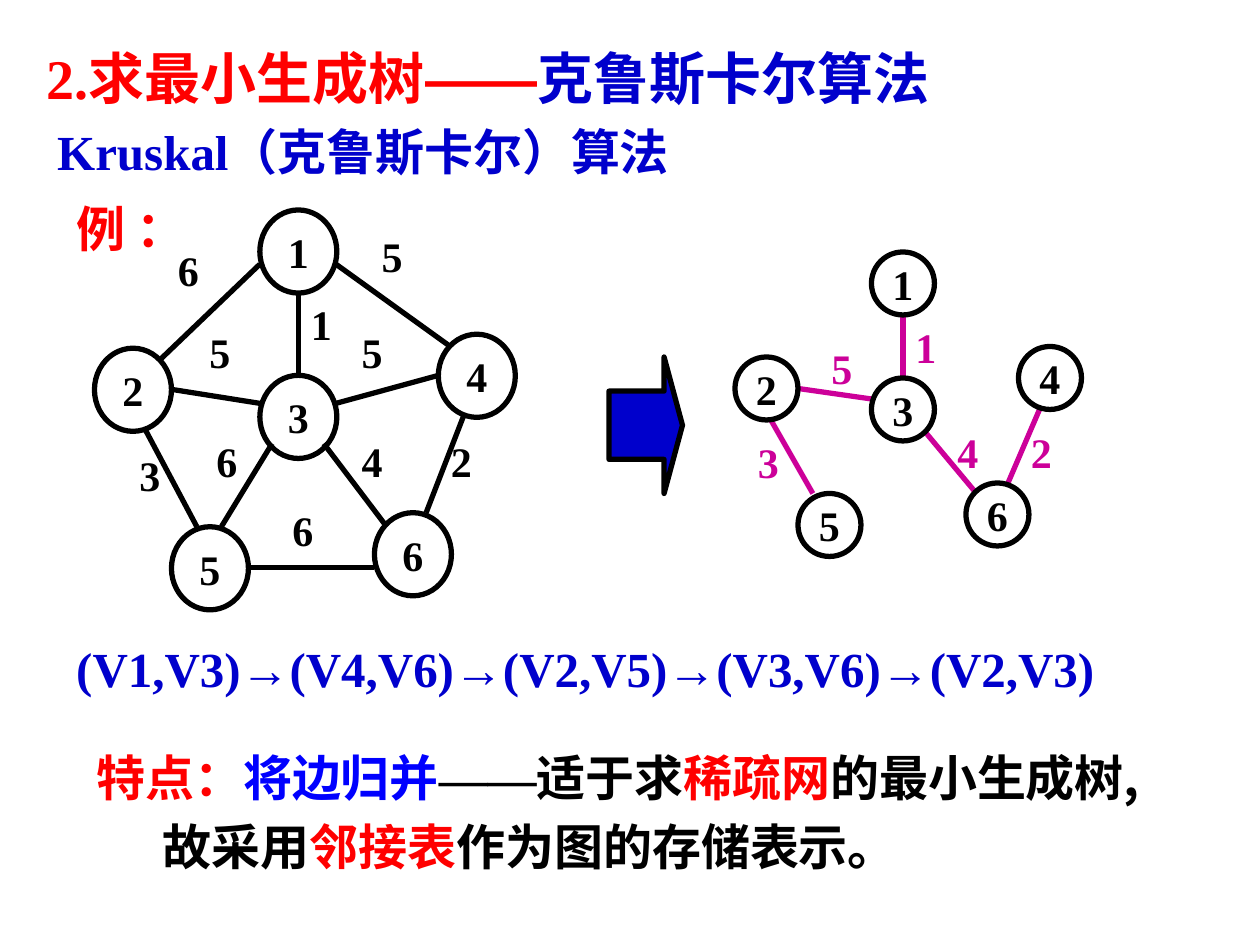
from dataclasses import dataclass

from pptx import Presentation
from pptx.dml.color import RGBColor
from pptx.enum import shapes, text
from pptx.oxml import ns
from pptx.util import Pt
from lxml import etree


@dataclass(frozen=True)
class Theme:
    black: str = "000000"
    red: str = "FF0000"
    navy: str = "0000CC"
    blue: str = "0000FF"
    magenta: str = "CC0099"
    serif: str = "Times New Roman"
    sans: str = "Arial"
    chinese: str = "Noto Sans CJK SC"
    heading: int = 32
    body: int = 28
    graph: int = 24
    stroke: int = 3


THEME = Theme()

# Node: number -> left, top. Edge: start x, y, end x, y, weight, label left, top.
GRAPH_NODES = {1: (94.5, 0), 2: (0, 79), 3: (94.5, 94.5),
               4: (196.5, 71), 5: (44, 181), 6: (160, 173)}
GRAPH_EDGES = [
    (94.5, 31, 36.5, 86.5, 6, 40.5, 16),
    (29, 125.5, 58.5, 181, 3, 18.5, 133.5),
    (87, 204.5, 160, 204.5, 6, 106, 165),
    (211, 117.5, 189.5, 173, 2, 196.5, 125.5),
    (138, 31, 204, 78.5, 5, 157, 8),
    (116.5, 47, 116.5, 94.5, 1, 116.5, 47),
    (101.5, 133.5, 72.5, 181, 6, 62.5, 125.5),
    (131, 133.5, 167, 181, 4, 145.5, 125.5),
    (138, 110.5, 196.5, 94.5, 5, 145.5, 63),
    (44, 102.5, 94.5, 110.5, 5, 58.5, 63),
]
TREE_NODES = {1: (78, 0), 2: (0, 60), 3: (78, 72),
              4: (162, 54), 5: (36, 138), 6: (132, 132)}
TREE_EDGES = [
    (96, 36, 96, 72, 1, 96, 36),
    (36, 78, 78, 84, 5, 48, 48),
    (108, 102, 138, 138, 4, 120, 96),
    (20.5, 96, 44.5, 138, 3, 6, 102),
    (174, 90, 156, 132, 2, 162, 96),
]


def write_runs(paragraph, runs, size):
    """Add bold runs given as (wording, colour, Latin font, East Asian font)."""
    for wording, colour, latin, east_asian in runs:
        run = paragraph.add_run()
        run.text = wording
        run.font.size = Pt(size)
        run.font.bold = True
        run.font.color.rgb = RGBColor.from_string(colour)
        run.font.name = latin
        properties = run.font._element
        etree.SubElement(properties, ns.qn("a:ea")).set("typeface", east_asian)


def latin(wording, colour, font=THEME.serif):
    return wording, colour, font, font


def chinese(wording, colour):
    return wording, colour, THEME.chinese, THEME.chinese


def place(shape, box):
    shape.left, shape.top, shape.width, shape.height = (Pt(length) for length in box)


def format_line(shape, box, runs, size, anchor=text.MSO_ANCHOR.MIDDLE, wrap=True):
    """Fill a text shape with one left-aligned line."""
    place(shape, box)
    frame = shape.text_frame
    frame.auto_size = text.MSO_AUTO_SIZE.NONE
    frame.word_wrap = wrap
    frame.vertical_anchor = anchor
    frame.paragraphs[0].alignment = text.PP_ALIGN.LEFT
    write_runs(frame.paragraphs[0], runs, size)


def add_line_of_text(slide, box, runs, size, **options):
    shape = slide.shapes.add_textbox(0, 0, 0, 0)
    format_line(shape, box, runs, size, **options)


def add_node(slide, box, number):
    node = slide.shapes.add_shape(shapes.MSO_SHAPE.OVAL, *(Pt(length) for length in box))
    node.shadow.inherit = False
    node.fill.background()
    node.line.color.rgb = RGBColor.from_string(THEME.black)
    node.line.width = Pt(THEME.stroke)
    frame = node.text_frame
    frame.word_wrap = False
    frame.vertical_anchor = text.MSO_ANCHOR.MIDDLE
    frame.paragraphs[0].alignment = text.PP_ALIGN.CENTER
    write_runs(frame.paragraphs[0], [latin(str(number), THEME.black)], THEME.graph)


def add_edge(slide, start_x, start_y, end_x, end_y, colour):
    edge = slide.shapes.add_connector(
        shapes.MSO_CONNECTOR.STRAIGHT, Pt(start_x), Pt(start_y), Pt(end_x), Pt(end_y))
    edge.line.color.rgb = RGBColor.from_string(colour)
    edge.line.width = Pt(THEME.stroke)
    etree.SubElement(edge._element.spPr, ns.qn("a:effectLst"))


def add_graph(slide, left, top, node_size, nodes, edges, colour):
    """Draw a weighted graph whose top left corner is at left, top."""
    for x1, y1, x2, y2, weight, label_x, label_y in edges:
        add_edge(slide, left + x1, top + y1, left + x2, top + y2, colour)
        add_line_of_text(slide, (left + label_x, top + label_y, 27, 36),
                         [latin(str(weight), colour)], THEME.graph,
                         anchor=text.MSO_ANCHOR.TOP, wrap=False)
    for number, (x, y) in nodes.items():
        add_node(slide, (left + x, top + y, *node_size), number)


def add_result_arrow(slide, box):
    arrow = slide.shapes.add_shape(
        shapes.MSO_SHAPE.RIGHT_ARROW, *(Pt(length) for length in box))
    arrow.adjustments[0] = 0.5
    arrow.adjustments[1] = 0.25
    arrow.shadow.inherit = False
    arrow.fill.solid()
    arrow.fill.fore_color.rgb = RGBColor.from_string(THEME.navy)
    arrow.line.color.rgb = RGBColor.from_string(THEME.black)
    arrow.line.width = Pt(THEME.stroke)


def add_headings(slide, left, top):
    add_line_of_text(slide, (left, top, 527, 48), [
        latin("2.", THEME.red),
        chinese("求最小生成树", THEME.red),
        latin("——", THEME.red, THEME.sans),
        ("克鲁斯卡尔算法", THEME.navy, THEME.sans, THEME.chinese),
    ], THEME.heading)
    format_line(slide.shapes.title, (left + 6, top + 51, 380, 30), [
        latin("Kruskal", THEME.navy),
        chinese("（克鲁斯卡尔）算法", THEME.navy),
    ], THEME.body)
    add_line_of_text(slide, (left + 17, top + 86, 69, 48), [
        ("例 ：", THEME.red, THEME.serif, THEME.chinese)], THEME.body)


def add_features(slide, box):
    shape = slide.shapes.add_textbox(0, 0, 0, 0)
    place(shape, box)
    frame = shape.text_frame
    frame.word_wrap = True
    lines = [
        [chinese("特点：", THEME.red), chinese("将边归并", THEME.blue),
         latin("——", THEME.black), chinese("适于求", THEME.black),
         chinese("稀疏网", THEME.red), chinese("的最小生成树,", THEME.black)],
        [chinese("故采用", THEME.black), chinese("邻接表", THEME.red),
         chinese("作为图的存储表示。", THEME.black)],
    ]
    for runs, indent in zip(lines, (0, 38)):
        paragraph = frame.paragraphs[0] if indent == 0 else frame.add_paragraph()
        paragraph.space_before = Pt(6)
        paragraph._p.get_or_add_pPr().set("marL", str(Pt(indent)))
        write_runs(paragraph, runs, THEME.body)


def main():
    presentation = Presentation()
    presentation.slide_width, presentation.slide_height = Pt(720), Pt(540)
    slide = presentation.slides.add_slide(presentation.slide_layouts[5])
    add_headings(slide, 19.5, 20)
    add_graph(slide, 54, 120, (44, 47.5), GRAPH_NODES, GRAPH_EDGES, THEME.black)
    add_result_arrow(slide, (348, 204, 42, 78))
    add_graph(slide, 420, 144, (36, 36), TREE_NODES, TREE_EDGES, THEME.magenta)
    edge_order = [(1, 3), (4, 6), (2, 5), (3, 6), (2, 3)]
    sequence = "→".join(f"(V{start},V{end})" for start, end in edge_order)
    add_line_of_text(slide, (36.5, 366.5, 629, 30),
                     [latin(sequence, THEME.navy)], THEME.body)
    add_features(slide, (48, 423.5, 618, 81))
    presentation.save("out.pptx")


if __name__ == "__main__":
    main()
